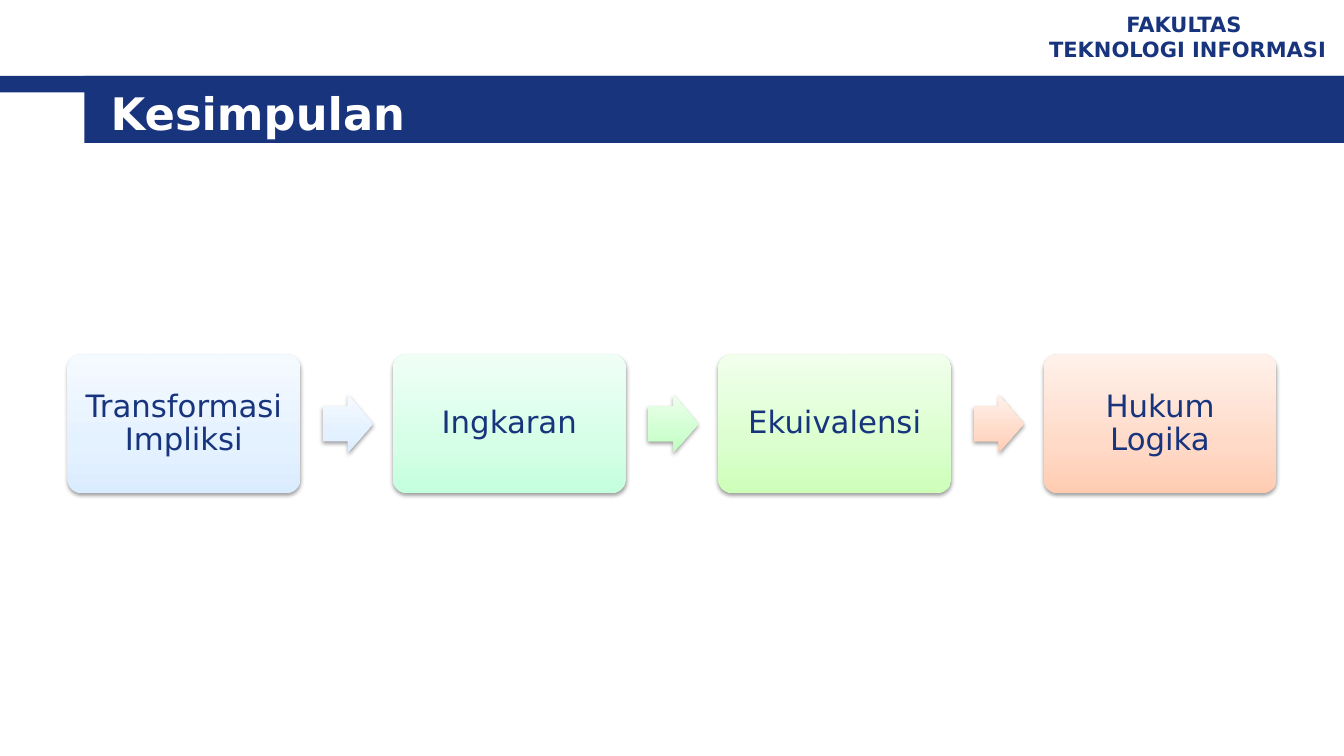
from dataclasses import dataclass

from pptx import Presentation
from pptx import util as u
from pptx.dml.color import RGBColor
from pptx.enum import shapes, text
from pptx.oxml import parse_xml
from pptx.oxml.ns import nsdecls, qn


@dataclass(frozen=True)
class Theme:
    navy: str = "17347D"
    white: str = "FFFFFF"
    blue: tuple = ("DAECFF", "E4F1FF", "F5FAFF")
    mint: tuple = ("C4FFDE", "D5FFE7", "EFFFF6")
    green: tuple = ("BCFFBE", "D0FFD1", "EDFFED")
    lime: tuple = ("CDFFB9", "DBFFCE", "F1FFEC")
    peach: tuple = ("FFCCB1", "FFDAC8", "FFF1EA")
    font: str = "DejaVu Sans"
    header: int = 15
    title: int = 32
    step: int = 22


@dataclass(frozen=True)
class Step:
    label: str
    colors: tuple
    arrow: tuple | None  # colours of the arrow to the next step


T = Theme()
STEPS = [
    Step("Transformasi Impliksi", T.blue, T.blue),
    Step("Ingkaran", T.mint, T.green),
    Step("Ekuivalensi", T.lime, T.peach),
    Step("Hukum Logika", T.peach, None),
]
STEP_LEFT, STEP_PITCH, STEP_W, STEP_H = 1.7, 8.2, 5.87, 3.5
ARROW_OFFSET, ARROW_W, ARROW_H = 6.44, 1.26, 1.46
FLOW_MIDDLE = 10.68


def write(sp, *lines: str, size: int, color: str, bold: bool = False,
          align=text.PP_ALIGN.CENTER, spacing: float = 1.0) -> None:
    """Fill a shape's text frame with one paragraph per line."""
    tf = sp.text_frame
    tf.word_wrap = True
    tf.vertical_anchor = text.MSO_ANCHOR.MIDDLE
    for i, line in enumerate(lines):
        p = tf.add_paragraph() if i else tf.paragraphs[0]
        p.alignment = align
        p.line_spacing = spacing
        r = p.add_run()
        r.text = line
        r.font.name, r.font.size, r.font.bold = T.font, u.Pt(size), bold
        r.font.color.rgb = RGBColor.from_string(color)


def add_shape(s, kind, x: float, y: float, w: float, h: float):
    sp = s.shapes.add_shape(kind, u.Cm(x), u.Cm(y), u.Cm(w), u.Cm(h))
    sp.line.fill.background()
    sp.shadow.inherit = False
    return sp


def add_bar(s, x: float, y: float, w: float, h: float) -> None:
    sp = add_shape(s, shapes.MSO_SHAPE.RECTANGLE, x, y, w, h)
    sp.fill.solid()
    sp.fill.fore_color.rgb = RGBColor.from_string(T.navy)


def add_textbox(s, x: float, y: float, w: float, h: float):
    return s.shapes.add_textbox(u.Cm(x), u.Cm(y), u.Cm(w), u.Cm(h))


def add_glossy(s, kind, x: float, w: float, h: float, colors: tuple, adjustments: tuple):
    """Add a shape centred on the flow line, with a bottom-up gradient and soft shadow."""
    sp = add_shape(s, kind, x, FLOW_MIDDLE - h / 2, w, h)
    for i, value in enumerate(adjustments):
        sp.adjustments[i] = value
    stops = "".join(
        f'<a:gs pos="{pos}"><a:srgbClr val="{color}"/></a:gs>'
        for pos, color in zip((0, 35000, 100000), colors))
    spPr = sp._element.spPr
    spPr.find(qn("a:ln")).addprevious(parse_xml(
        f'<a:gradFill {nsdecls("a")} rotWithShape="1"><a:gsLst>{stops}</a:gsLst>'
        '<a:lin ang="16200000" scaled="0"/></a:gradFill>'))
    spPr.find(qn("a:effectLst")).append(parse_xml(
        f'<a:outerShdw {nsdecls("a")} blurRad="40000" dist="20000" dir="5400000" '
        'rotWithShape="0"><a:srgbClr val="000000"><a:alpha val="38000"/></a:srgbClr>'
        '</a:outerShdw>'))
    return sp


def add_step(s, index: int, step: Step) -> None:
    x = STEP_LEFT + index * STEP_PITCH
    sp = add_glossy(s, shapes.MSO_SHAPE.ROUNDED_RECTANGLE, x, STEP_W, STEP_H,
                    step.colors, (0.1,))
    tf = sp.text_frame
    tf.margin_left = tf.margin_right = tf.margin_top = tf.margin_bottom = u.Cm(0.23)
    write(sp, step.label, size=T.step, color=T.navy, spacing=0.9)
    if step.arrow:
        add_glossy(s, shapes.MSO_SHAPE.RIGHT_ARROW, x + ARROW_OFFSET, ARROW_W, ARROW_H,
                   step.arrow, (0.6, 0.5))


def main() -> None:
    prs = Presentation()
    prs.slide_width, prs.slide_height = u.Cm(33.87), u.Cm(19.05)
    s = prs.slides.add_slide(prs.slide_layouts[6])

    add_bar(s, 0, 1.91, 33.87, 0.42)
    add_bar(s, 2.13, 1.91, 31.74, 1.69)
    write(add_textbox(s, 25.99, 0.13, 7.88, 1.57), "FAKULTAS ", "TEKNOLOGI INFORMASI",
          size=T.header, color=T.navy, bold=True)
    write(add_textbox(s, 2.54, 2.04, 30.2, 1.57), "Kesimpulan", size=T.title,
          color=T.white, bold=True, align=text.PP_ALIGN.LEFT)

    for index, step in enumerate(STEPS):
        add_step(s, index, step)
    prs.save("out.pptx")


if __name__ == "__main__":
    main()
